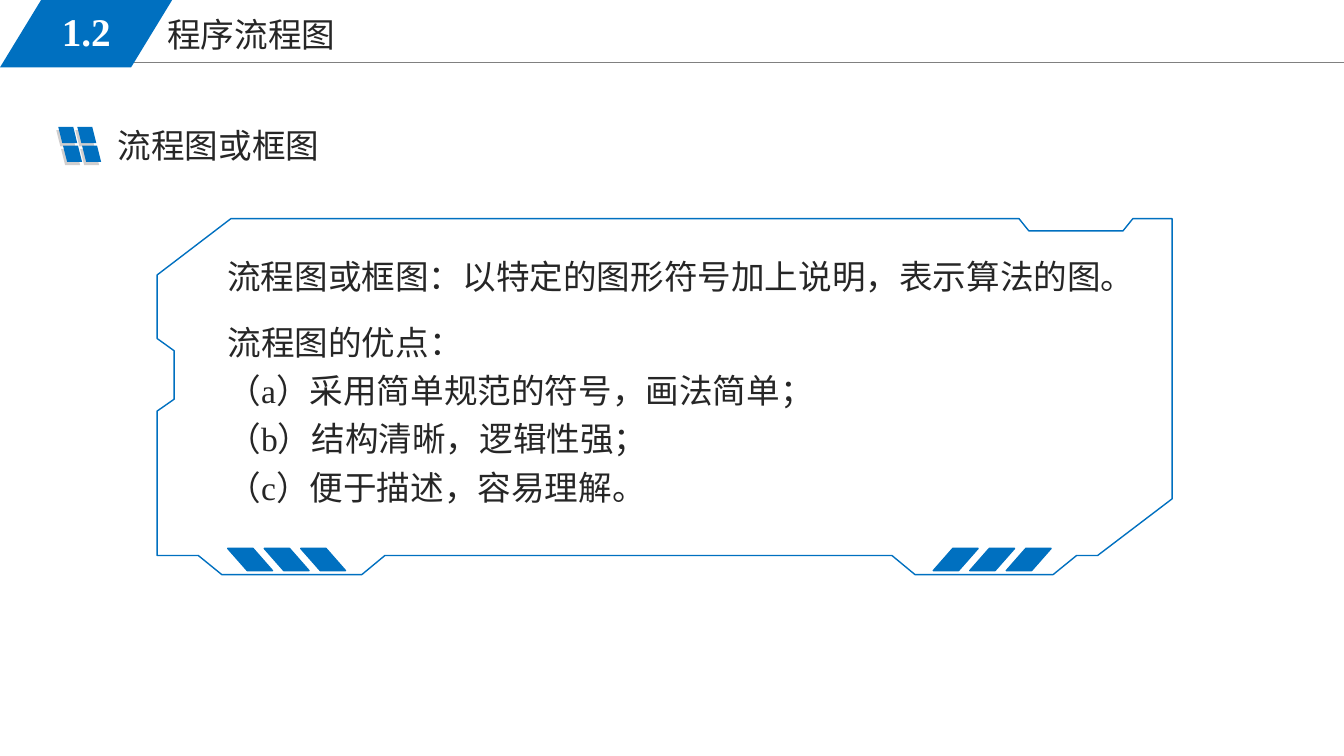
import dataclasses

import pptx
import pptx.dml.color
import pptx.enum.shapes
import pptx.enum.text
import pptx.oxml
import pptx.oxml.ns
import pptx.util

Cm = pptx.util.Cm
Pt = pptx.util.Pt
RGB = pptx.dml.color.RGBColor
Align = pptx.enum.text.PP_ALIGN
Anchor = pptx.enum.text.MSO_ANCHOR
PARALLELOGRAM = pptx.enum.shapes.MSO_SHAPE.PARALLELOGRAM


@dataclasses.dataclass(frozen=True)
class Theme:
    blue: RGB = RGB.from_string("0070C0")
    ink: RGB = RGB.from_string("262626")
    rule: RGB = RGB.from_string("808080")
    shade: RGB = RGB.from_string("D0CECE")
    white: RGB = RGB.from_string("FFFFFF")
    text_size: Pt = Pt(24)
    number_size: Pt = Pt(28)
    hanzi: str = "Noto Sans CJK SC"
    latin: str = "Times New Roman"


THEME = Theme()

FRAME_CORNERS = [
    (23.06, 14.48), (26.54, 14.48), (27.13, 14), (27.66, 14), (29.54, 12.57),
    (29.54, 5.51), (28.55, 5.51), (28.3, 5.82), (25.93, 5.82), (25.68, 5.51),
    (5.82, 5.51), (3.96, 6.93), (3.96, 8.53), (4.39, 8.84), (4.39, 10.06),
    (3.96, 10.36), (3.96, 14), (5, 14), (5.59, 14.48), (9.12, 14.48),
    (9.7, 14), (22.48, 14),
]
ADVANTAGES = [
    "流程图的优点：",
    "（a）采用简单规范的符号，画法简单；",
    "（b）结构清晰，逻辑性强；",
    "（c）便于描述，容易理解。",
]


def apply_format(target, values):
    for attribute, value in values.items():
        setattr(target, attribute, value)


def place(holder, box):
    apply_format(holder, dict(zip(("left", "top", "width", "height"), map(Cm, box))))
    return holder


def add_label(slide, box):
    return slide.shapes.add_textbox(*map(Cm, box))


def write(holder, paragraphs, anchor=Anchor.TOP, align=Align.LEFT, spacing=1.0,
          indent=0, **font):
    frame = holder.text_frame
    apply_format(frame, {
        "word_wrap": True,
        "auto_size": pptx.enum.text.MSO_AUTO_SIZE.NONE,
        "vertical_anchor": anchor,
    })
    style = {"size": THEME.text_size, "bold": False} | font
    color = style.pop("color", THEME.ink)
    for index, runs in enumerate(paragraphs):
        paragraph = frame.add_paragraph() if index else frame.paragraphs[0]
        properties = paragraph._p.get_or_add_pPr()
        properties.set("marL", "0")
        properties.set("indent", str(Cm(indent)))
        pptx.oxml.ns.qn("a:buNone")
        properties.append(pptx.oxml.parse_xml(
            f'<a:buNone {pptx.oxml.ns.nsdecls("a")}/>'))
        apply_format(paragraph, {
            "alignment": align, "line_spacing": spacing, "space_before": Pt(0),
        })
        for words, typeface in runs:
            run = paragraph.add_run()
            run.text = words
            apply_format(run.font, style | {"name": typeface})
            run.font.color.rgb = color
            run.font._element.find(pptx.oxml.ns.qn("a:latin")).addnext(
                pptx.oxml.parse_xml(
                    f'<a:ea {pptx.oxml.ns.nsdecls("a")} typeface="{THEME.hanzi}"/>'))


def add_slant(shapes, box, fill, slant=0.25, mirrored=False, outlined=False):
    slab = shapes.add_shape(PARALLELOGRAM, *map(Cm, box))
    slab.shadow.inherit = False
    slab.adjustments[0] = slant
    slab.fill.solid()
    slab.fill.fore_color.rgb = fill
    if outlined:
        slab.line.color.rgb = fill
        slab.line.width = Pt(1)
    else:
        slab.line.fill.background()
    if mirrored:
        slab._element.spPr.xfrm.set("flipH", "1")


def add_header_rule(slide):
    rule = slide.shapes.add_connector(
        pptx.enum.shapes.MSO_CONNECTOR.STRAIGHT,
        Cm(2.87), Cm(1.57), Cm(33.87), Cm(1.57))
    rule.line.color.rgb = THEME.rule
    rule.line.width = Pt(0.75)
    rule._element.spPr.append(pptx.oxml.parse_xml(
        f'<a:effectLst {pptx.oxml.ns.nsdecls("a")}/>'))


def add_window_icon(slide):
    tiles = slide.shapes.add_group_shape().shapes
    for left, top, fill in ((1.42, 3.28, THEME.shade), (1.47, 3.2, THEME.blue)):
        for row in range(2):
            for column in range(2):
                box = (left + 0.48 * column + 0.12 * row, top + 0.47 * row, 0.48, 0.41)
                add_slant(tiles, box, fill, mirrored=True)


def add_frame(slide):
    parts = slide.shapes.add_group_shape().shapes
    corners = [(Cm(x), Cm(y)) for x, y in FRAME_CORNERS]
    builder = parts.build_freeform(*corners[0])
    builder.add_line_segments(corners[1:], close=True)
    outline = builder.convert_to_shape()
    outline.shadow.inherit = False
    outline.fill.background()
    outline.line.color.rgb = THEME.blue
    outline.line.width = Pt(1)
    for left, mirrored in ((23.52, False), (5.74, True)):
        for index in range(3):
            add_slant(parts, (left + 0.92 * index, 13.82, 1.13, 0.56), THEME.blue,
                      slant=0.88, mirrored=mirrored, outlined=True)


def main():
    deck = pptx.Presentation()
    apply_format(deck, {"slide_width": Cm(33.87), "slide_height": Cm(19.05)})
    slide = deck.slides.add_slide(deck.slide_layouts[1])
    title, advantages = slide.placeholders

    add_header_rule(slide)
    write(place(title, (3.96, 0.23, 14.4, 1.3)), [[("程序流程图", THEME.hanzi)]])
    add_slant(slide.shapes, (0, 0, 4.34, 1.7), THEME.blue, slant=0.61)
    write(add_label(slide, (0.64, 0.05, 3.07, 1.47)), [[("1.2", THEME.latin)]],
          anchor=Anchor.MIDDLE, align=Align.CENTER,
          size=THEME.number_size, bold=True, color=THEME.white)

    add_window_icon(slide)
    write(add_label(slide, (2.72, 3.02, 6.65, 1.27)), [[("流程图或框图", THEME.hanzi)]])

    add_frame(slide)
    write(add_label(slide, (3.73, 6.12, 25.15, 1.37)),
          [[("流程图或框图：", THEME.hanzi),
            ("以特定的图形符号加上说明，表示算法的图。", THEME.latin)]],
          spacing=1.2, indent=1.75)
    write(place(advantages, (3.73, 7.77, 17.37, 5.08)),
          [[(line, THEME.latin)] for line in ADVANTAGES],
          spacing=1.2, indent=1.75)

    deck.save("out.pptx")


if __name__ == "__main__":
    main()
